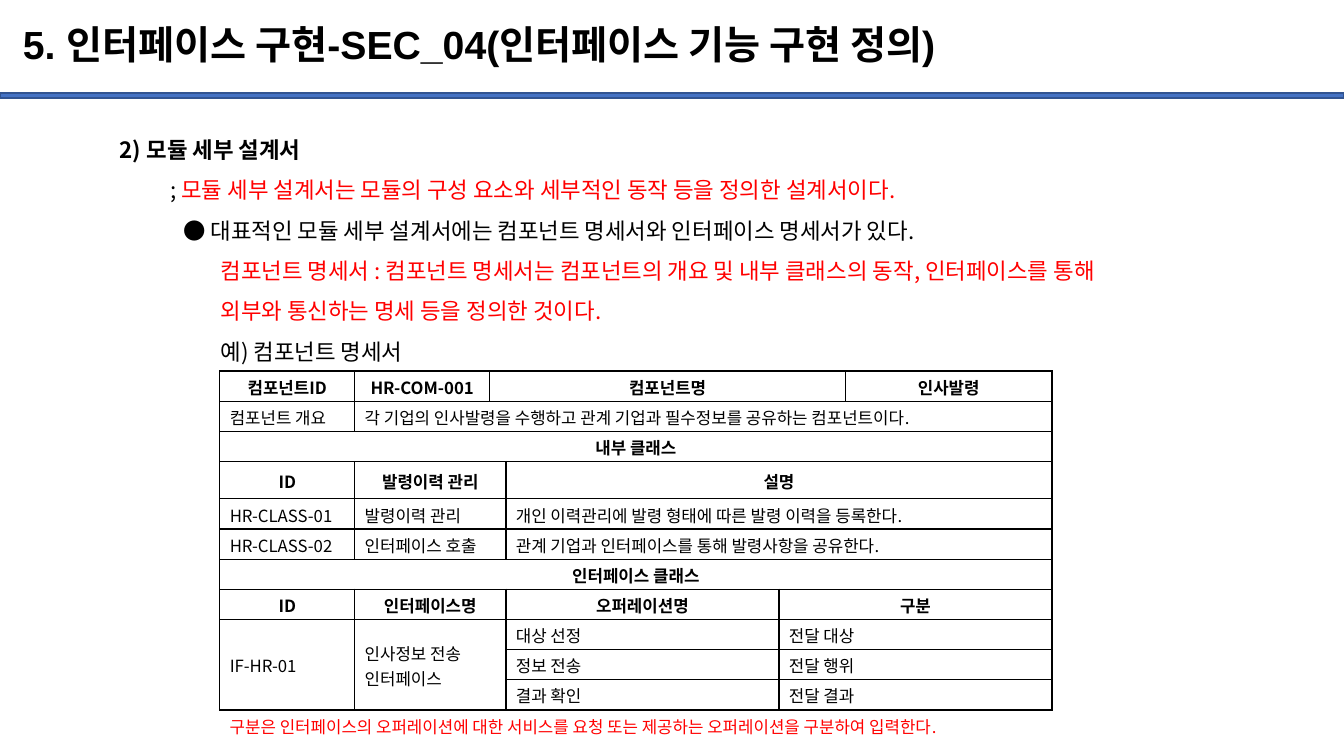
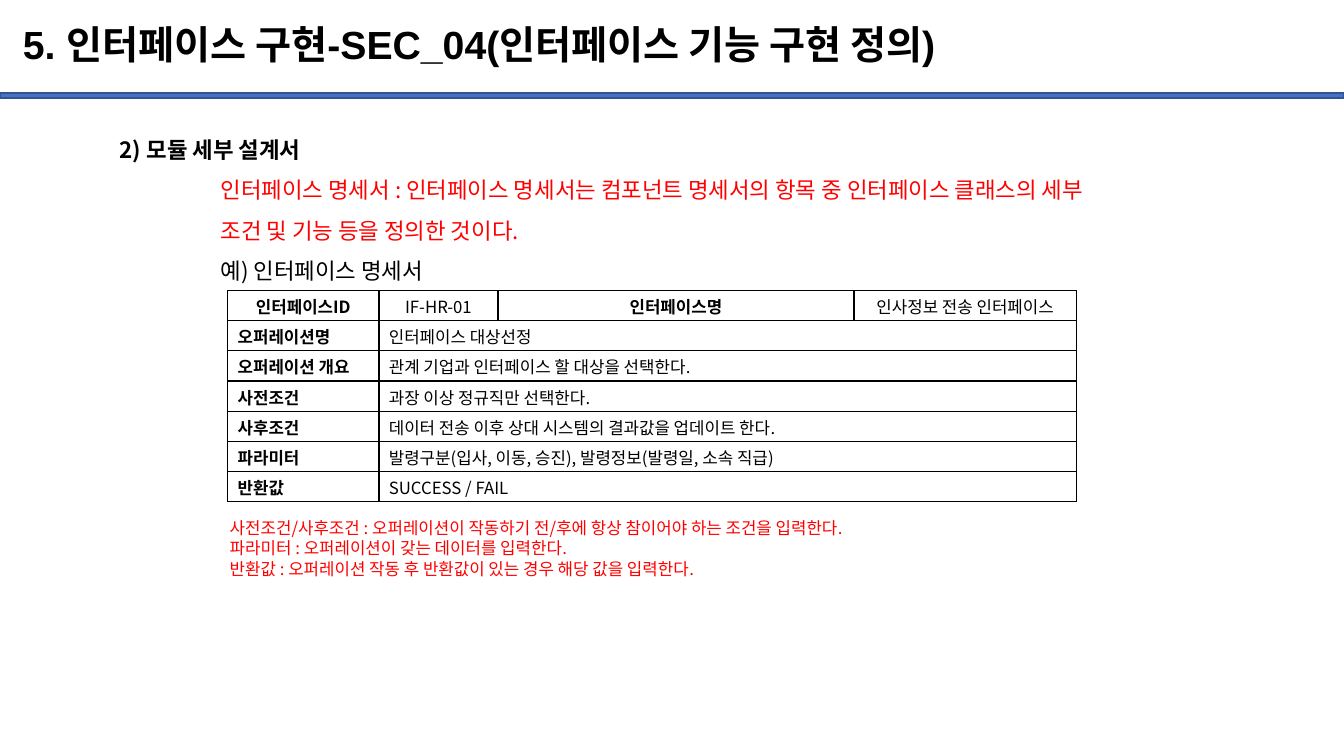
from dataclasses import dataclass

from lxml import etree
from pptx import Presentation
from pptx.dml.color import RGBColor
from pptx.enum.shapes import MSO_SHAPE
from pptx.enum.text import MSO_ANCHOR, PP_ALIGN
from pptx.oxml.ns import qn
from pptx.util import Cm, Pt

RECTANGLE = MSO_SHAPE.RECTANGLE
TOP, MIDDLE = MSO_ANCHOR.TOP, MSO_ANCHOR.MIDDLE
LEFT, CENTER = PP_ALIGN.LEFT, PP_ALIGN.CENTER
BLANK_LAYOUT = 6


@dataclass(frozen=True)
class Theme:
    black: str = "000000"
    red: str = "FF0000"
    band: str = "4472C4"
    band_line: str = "325491"
    title_font: str = "Arial"
    body_font: str = "Noto Sans CJK KR"
    title_size: int = 28
    body_size: int = 16
    small_size: int = 12
    body_leading: float = 28.8
    small_leading: float = 14.4


@dataclass(frozen=True)
class Entry:
    text: str
    columns: int = 1
    rows: int = 1
    bold: bool = False
    align: int = LEFT


THEME = Theme()


def head(text, columns=1):
    return Entry(text, columns, bold=True, align=CENTER)


def write(paragraph, text, size, color=THEME.black, font=THEME.body_font,
          bold=False, align=LEFT, spacing=None, indent=0):
    if indent:
        paragraph._p.get_or_add_pPr().set("marL", str(Cm(indent)))
    paragraph.alignment = align
    if spacing:
        paragraph.line_spacing = spacing
    span = paragraph.add_run()
    span.text = text
    span.font.name = font
    span.font.size = Pt(size)
    span.font.bold = bold
    span.font.color.rgb = RGBColor.from_string(color)
    east_asian = etree.SubElement(span._r.get_or_add_rPr(), qn("a:ea"))
    east_asian.set("typeface", THEME.body_font)


def draw_borders(cell):
    properties = cell._tc.get_or_add_tcPr()
    for index, side in enumerate(("a:lnL", "a:lnR", "a:lnT", "a:lnB")):
        line = etree.Element(qn(side), w=str(Pt(1)))
        fill = etree.SubElement(line, qn("a:solidFill"))
        etree.SubElement(fill, qn("a:srgbClr"), val=THEME.black)
        properties.insert(index, line)


class SlideBuilder:
    def __init__(self, deck, theme):
        self.deck = deck
        self.theme = theme
        self.page = None

    def start_page(self, title):
        layout = self.deck.slide_layouts[BLANK_LAYOUT]
        self.page = self.deck.slides.add_slide(layout)
        self.add_band()
        frame = self.add_frame(0.33, 0.25, 32.2, 1.88, MIDDLE)
        write(frame.paragraphs[0], title, self.theme.title_size,
              font=self.theme.title_font, bold=True, spacing=0.9)

    def add_band(self):
        band = self.page.shapes.add_shape(
            RECTANGLE, 0, Cm(2.34), self.deck.slide_width, Cm(0.13))
        band.shadow.inherit = False
        band.fill.solid()
        band.fill.fore_color.rgb = RGBColor.from_string(self.theme.band)
        band.line.color.rgb = RGBColor.from_string(self.theme.band_line)
        band.line.width = Pt(1)

    def add_frame(self, left, top, width, height, anchor=TOP):
        box = self.page.shapes.add_textbox(
            Cm(left), Cm(top), Cm(width), Cm(height))
        frame = box.text_frame
        frame.word_wrap = True
        frame.vertical_anchor = anchor
        return frame

    def add_body(self, heading, lines):
        height = (len(lines) + 1) * 1.02 + 0.25
        frame = self.add_frame(2.77, 2.97, 29.77, height)
        spacing = Pt(self.theme.body_leading)
        write(frame.paragraphs[0], heading, self.theme.body_size,
              bold=True, spacing=spacing)
        for indent, *spans in lines:
            paragraph = frame.add_paragraph()
            for text, color in spans:
                write(paragraph, text, self.theme.body_size, color,
                      spacing=spacing, indent=indent)

    def add_note(self, top, lines):
        frame = self.add_frame(5.54, top, 26.39, len(lines) * 0.51 + 0.25)
        for index, text in enumerate(lines):
            paragraph = frame.add_paragraph() if index else frame.paragraphs[0]
            write(paragraph, text, self.theme.small_size, self.theme.red,
                  spacing=Pt(self.theme.small_leading))

    def add_table(self, left, top, widths, heights, rows):
        table = self.page.shapes.add_table(
            len(rows), len(widths), Cm(left), Cm(top),
            Cm(sum(widths)), Cm(sum(heights))).table
        table.first_row = table.horz_banding = False
        for column, width in zip(table.columns, widths):
            column.width = Cm(width)
        for row, height in zip(table.rows, heights):
            row.height = Cm(height)
        for row_index, entries in enumerate(rows):
            column_index = 0
            for entry in entries:
                while table.cell(row_index, column_index).is_spanned:
                    column_index += 1
                self.fill_cell(table, row_index, column_index, entry)
                column_index += entry.columns
        for cell in table.iter_cells():
            cell.fill.background()
            cell.vertical_anchor = MIDDLE
            cell.margin_left = cell.margin_right = Cm(0.25)
            cell.margin_top, cell.margin_bottom = Cm(0.06), Cm(0.02)
            draw_borders(cell)
            if not cell.text:
                cell.text_frame.paragraphs[0].font.size = Pt(1)

    def fill_cell(self, table, row_index, column_index, entry):
        cell = table.cell(row_index, column_index)
        if entry.columns > 1 or entry.rows > 1:
            cell.merge(table.cell(row_index + entry.rows - 1,
                                  column_index + entry.columns - 1))
        frame = cell.text_frame
        for index, text in enumerate(entry.text.split("\n")):
            paragraph = frame.add_paragraph() if index else frame.paragraphs[0]
            write(paragraph, text, self.theme.small_size,
                  bold=entry.bold, align=entry.align)


TITLE = "5. 인터페이스 구현-SEC_04(인터페이스 기능 구현 정의)"
HEADING = "2) 모듈 세부 설계서"
FIRST_INDENT, BULLET_INDENT, SECOND_INDENT = 1.27, 1.6, 2.54
ROW_HEIGHT = 0.76


def component_page(builder):
    black, red = builder.theme.black, builder.theme.red
    builder.start_page(TITLE)
    builder.add_body(HEADING, [
        (FIRST_INDENT, ("; ", black),
         ("모듈 세부 설계서는 모듈의 구성 요소와 세부적인 동작 등을 정의한 설계서이다.", red)),
        (BULLET_INDENT,
         ("● 대표적인 모듈 세부 설계서에는 컴포넌트 명세서와 인터페이스 명세서가 있다.", black)),
        (SECOND_INDENT,
         ("컴포넌트 명세서 : 컴포넌트 명세서는 컴포넌트의 개요 및 내부 클래스의 동작, "
          "인터페이스를 통해", red)),
        (SECOND_INDENT, ("외부와 통신하는 명세 등을 정의한 것이다.", red)),
        (SECOND_INDENT, ("예) 컴포넌트 명세서", black)),
    ])
    heights = [ROW_HEIGHT] * 3 + [0.94] + [ROW_HEIGHT] * 7
    builder.add_table(5.54, 9.35, [3.4, 3.4, 0.41, 6.88, 1.68, 5.2], heights, [
        [head("컴포넌트ID"), head("HR-COM-001"), head("컴포넌트명", 3), head("인사발령")],
        [Entry("컴포넌트 개요"),
         Entry("각 기업의 인사발령을 수행하고 관계 기업과 필수정보를 공유하는 컴포넌트이다.", 5)],
        [head("내부 클래스", 6)],
        [head("ID"), head("발령이력 관리", 2), head("설명", 3)],
        [Entry("HR-CLASS-01"), Entry("발령이력 관리", 2),
         Entry("개인 이력관리에 발령 형태에 따른 발령 이력을 등록한다.", 3)],
        [Entry("HR-CLASS-02"), Entry("인터페이스 호출", 2),
         Entry("관계 기업과 인터페이스를 통해 발령사항을 공유한다.", 3)],
        [head("인터페이스 클래스", 6)],
        [head("ID"), head("인터페이스명", 2), head("오퍼레이션명"), head("구분", 2)],
        [Entry("IF-HR-01", rows=3), Entry("인사정보 전송\n인터페이스", 2, 3),
         Entry("대상 선정"), Entry("전달 대상", 2)],
        [Entry("정보 전송"), Entry("전달 행위", 2)],
        [Entry("결과 확인"), Entry("전달 결과", 2)],
    ])
    builder.add_note(17.93, [
        "구분은 인터페이스의 오퍼레이션에 대한 서비스를 요청 또는 제공하는 "
        "오퍼레이션을 구분하여 입력한다.",
    ])


def interface_page(builder):
    black, red = builder.theme.black, builder.theme.red
    builder.start_page(TITLE)
    builder.add_body(HEADING, [
        (SECOND_INDENT,
         ("인터페이스 명세서 : 인터페이스 명세서는 컴포넌트 명세서의 항목 중 "
          "인터페이스 클래스의 세부", red)),
        (SECOND_INDENT, ("조건 및 기능 등을 정의한 것이다.", red)),
        (SECOND_INDENT, ("예) 인터페이스 명세서", black)),
    ])
    details = [
        ("오퍼레이션명", "인터페이스 대상선정"),
        ("오퍼레이션 개요", "관계 기업과 인터페이스 할 대상을 선택한다."),
        ("사전조건", "과장 이상 정규직만 선택한다."),
        ("사후조건", "데이터 전송 이후 상대 시스템의 결과값을 업데이트 한다."),
        ("파라미터", "발령구분(입사, 이동, 승진), 발령정보(발령일, 소속 직급)"),
        ("반환값", "SUCCESS / FAIL"),
    ]
    rows = [[head("인터페이스ID"), Entry("IF-HR-01", align=CENTER),
             head("인터페이스명"), Entry("인사정보 전송 인터페이스", align=CENTER)]]
    rows += [[Entry(name, bold=True), Entry(value, 3)] for name, value in details]
    builder.add_table(5.74, 7.32, [3.81, 3, 8.97, 5.61],
                      [ROW_HEIGHT] * len(rows), rows)
    builder.add_note(12.93, [
        "사전조건/사후조건 : 오퍼레이션이 작동하기 전/후에 항상 참이어야 하는 조건을 입력한다.",
        "파라미터 : 오퍼레이션이 갖는 데이터를 입력한다.",
        "반환값 : 오퍼레이션 작동 후 반환값이 있는 경우 해당 값을 입력한다.",
    ])


def main():
    deck = Presentation()
    deck.slide_width, deck.slide_height = Cm(33.87), Cm(19.05)
    builder = SlideBuilder(deck, THEME)
    component_page(builder)
    interface_page(builder)
    deck.save("out.pptx")


if __name__ == "__main__":
    main()
